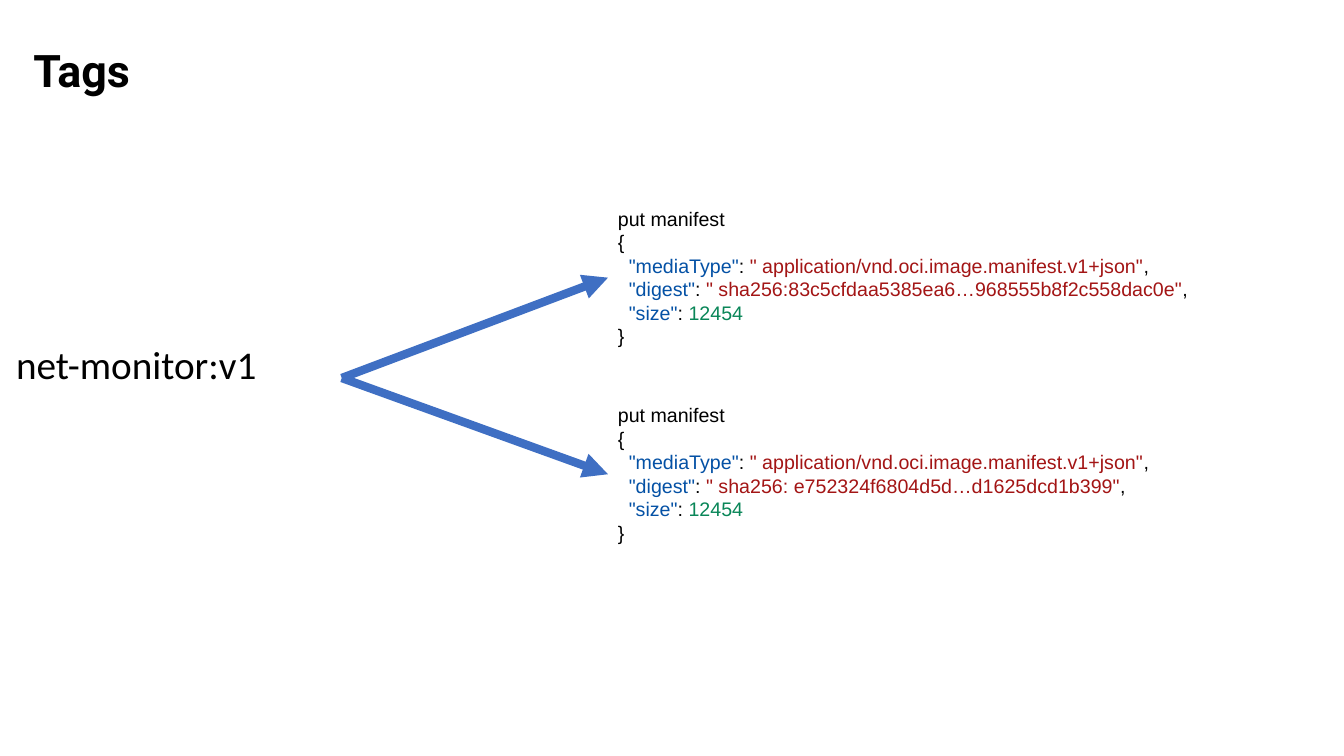
from lxml import etree
from pptx import Presentation, util as u
from pptx.dml.color import RGBColor
from pptx.enum import shapes, text
from pptx.oxml import ns

BLACK = RGBColor(0x00, 0x00, 0x00)
KEY_BLUE = RGBColor(0x04, 0x51, 0xA5)
STRING_RED = RGBColor(0xA3, 0x15, 0x15)
NUMBER_GREEN = RGBColor(0x09, 0x86, 0x58)
ARROW_BLUE = RGBColor(0x3F, 0x6F, 0xC3)

# Grid: the two manifests share a column and sit one pitch apart
MANIFEST_LEFT, MANIFEST_TOP, MANIFEST_PITCH = 6.03, 2, 1.95
MANIFEST_WIDTH, MANIFEST_HEIGHT = 6.2, 1.51
ARROW_START = (3.39, 3.75)

MEDIA_TYPE = '" application/vnd.oci.image.manifest.v1+json"'
DIGESTS = (
    '" sha256:83c5cfdaa5385ea6…968555b8f2c558dac0e"',
    '" sha256: e752324f6804d5d…d1625dcd1b399"',
)
SIZE = "12454"


def fill_placeholder(shape, box, words, font_name, size, anchor, bold=False):
    shape.left, shape.top, shape.width, shape.height = map(u.Inches, box)
    frame = shape.text_frame
    frame.text = words
    frame.auto_size = text.MSO_AUTO_SIZE.NONE
    frame.vertical_anchor = anchor
    paragraph = frame.paragraphs[0]
    paragraph.alignment = text.PP_ALIGN.LEFT
    paragraph.line_spacing = 0.9
    paragraph.space_before = u.Pt(0)
    font = paragraph.font
    font.name, font.size, font.bold = font_name, u.Pt(size), bold
    font.color.rgb = BLACK
    return paragraph


def remove_bullet(paragraph, margin):
    properties = paragraph._p.get_or_add_pPr()
    properties.set("marL", str(u.Inches(margin)))
    properties.set("indent", "0")
    bullet = etree.Element(ns.qn("a:buNone"))
    properties.insert_element_before(bullet, "a:tabLst", "a:defRPr", "a:extLst")


def manifest_lines(digest):
    def field(key, value, color, end=","):
        return [("  ", BLACK), (f'"{key}"', KEY_BLUE), (": ", BLACK),
                (value, color)] + ([(end, BLACK)] if end else [])

    return [
        [("put manifest", BLACK)],
        [("{", BLACK)],
        field("mediaType", MEDIA_TYPE, STRING_RED),
        field("digest", digest, STRING_RED),
        field("size", SIZE, NUMBER_GREEN, end=""),
        [("}", BLACK)],
    ]


def add_manifest(slide, row, digest):
    box = (MANIFEST_LEFT, MANIFEST_TOP + row * MANIFEST_PITCH,
           MANIFEST_WIDTH, MANIFEST_HEIGHT)
    shape = slide.shapes.add_textbox(*map(u.Inches, box))
    frame = shape.text_frame
    frame.word_wrap = True
    for index, line in enumerate(manifest_lines(digest)):
        paragraph = frame.add_paragraph() if index else frame.paragraphs[0]
        paragraph.font.name = "Arial"
        paragraph.font.size = u.Pt(14)
        for words, color in line:
            run = paragraph.add_run()
            run.text = words
            run.font.color.rgb = color
    return shape


def add_arrow(slide, target):
    start = [u.Inches(value) for value in ARROW_START]
    arrow = slide.shapes.add_connector(
        shapes.MSO_CONNECTOR.STRAIGHT, *start, target.left, target.top)
    arrow.end_connect(target, 1)
    arrow.line.color.rgb = ARROW_BLUE
    arrow.line.width = u.Pt(6)
    etree.SubElement(arrow.line._get_or_add_ln(), ns.qn("a:tailEnd"), type="triangle")
    etree.SubElement(arrow._element.spPr, ns.qn("a:effectLst"))


def main():
    presentation = Presentation()
    presentation.slide_width = u.Inches(13.33)
    presentation.slide_height = u.Inches(7.5)
    slide = presentation.slides.add_slide(presentation.slide_layouts[1])

    # Title and tag name
    fill_placeholder(slide.shapes.title, (0.23, 0, 11.5, 1.45), "Tags",
                     "Roboto", 32, text.MSO_ANCHOR.MIDDLE, bold=True)
    tag = fill_placeholder(slide.placeholders[1], (0, 3.38, 3.58, 0.73),
                           "net-monitor:v1", "Calibri", 28, text.MSO_ANCHOR.TOP)
    remove_bullet(tag, 0.06)

    # Manifests the tag points to
    manifests = [add_manifest(slide, row, digest)
                 for row, digest in enumerate(DIGESTS)]
    for manifest in manifests:
        add_arrow(slide, manifest)

    presentation.save("out.pptx")


if __name__ == "__main__":
    main()
